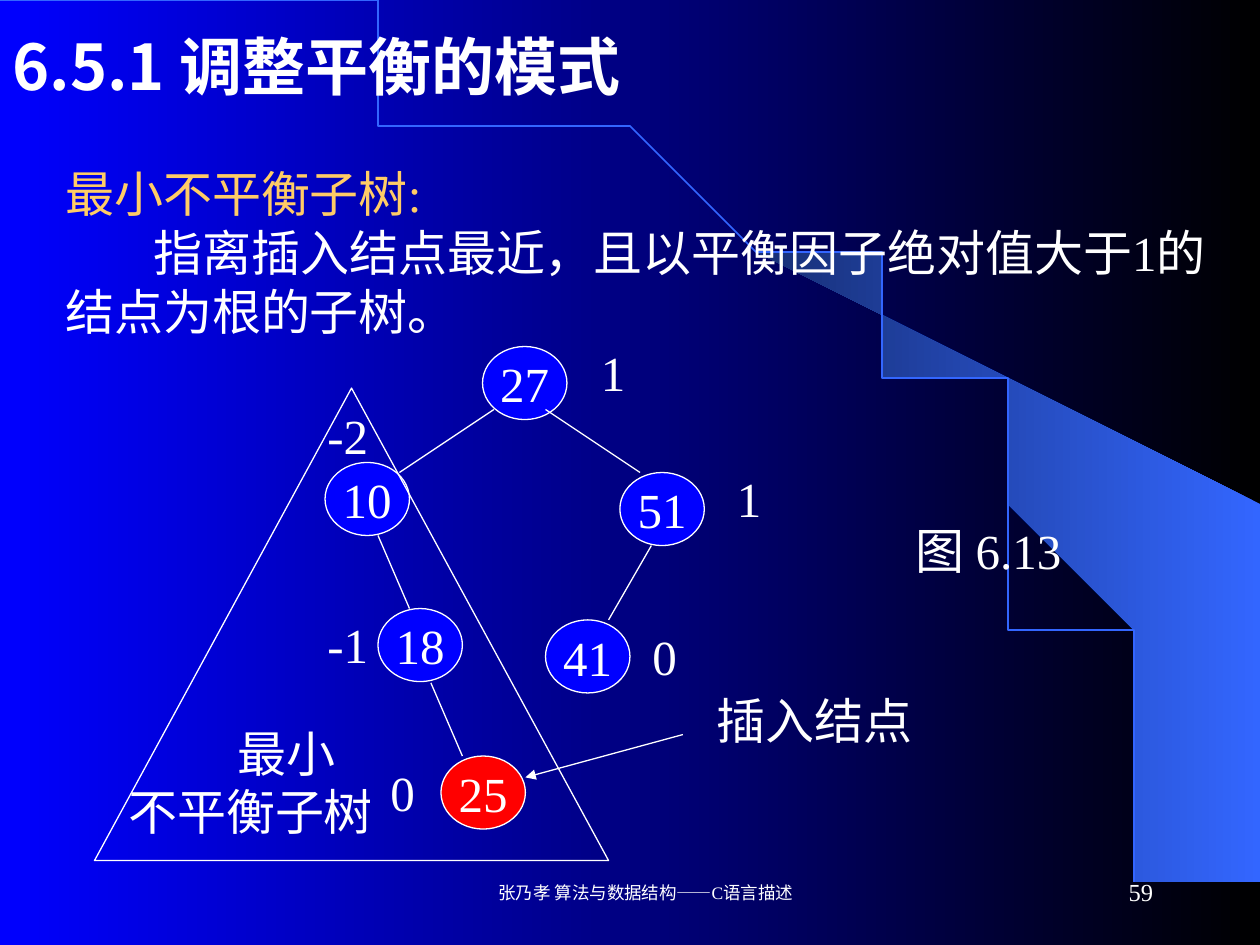
import math

from lxml import etree
from pptx import Presentation
from pptx.dml.color import RGBColor
from pptx.enum.shapes import MSO_CONNECTOR, MSO_SHAPE
from pptx.enum.text import MSO_ANCHOR, MSO_AUTO_SIZE, PP_ALIGN
from pptx.oxml.ns import qn
from pptx.util import Inches, Pt

LEFT, CENTER, RIGHT = PP_ALIGN.LEFT, PP_ALIGN.CENTER, PP_ALIGN.RIGHT
TOP, MIDDLE = MSO_ANCHOR.TOP, MSO_ANCHOR.MIDDLE
OVAL, TRIANGLE = MSO_SHAPE.OVAL, MSO_SHAPE.ISOSCELES_TRIANGLE
STRAIGHT = MSO_CONNECTOR.STRAIGHT

THEME = {
    "white": "FFFFFF", "black": "000000", "blue": "0000FF", "red": "FF0000",
    "gold": "FFCC66", "arc": "3366FF", "arc_dark": "172F75",
    "body_font": "Times New Roman", "title_font": "Noto Sans CJK SC",
    "title": 36, "body": 28, "number": 14, "footer": 10, "line": 0.75,
}

# Content: paragraphs are (text, colour, first-line indent)
TITLE = "6.5.1 调整平衡的模式"
DEFINITION = [
    ("最小不平衡子树:", "gold", 0),
    ("指离插入结点最近，且以平衡因子绝对值大于1的结点为根的子树。", "white", 0.7),
]
SUBTREE_NAME = [("最小", "white", 0.87), ("不平衡子树", "white", 0)]
FOOTER = "张乃孝 算法与数据结构——C语言描述"
PAGE_NUMBER = "59"

# Tree: key, left, top, fill
NODE_SIZE = (0.67, 0.58)
NODES = [
    ("27", 3.83, 2.75, "blue"), ("10", 2.58, 3.67, "blue"),
    ("51", 4.92, 3.75, "blue"), ("18", 3, 4.83, "blue"),
    ("41", 4.33, 4.92, "blue"), ("25", 3.5, 6, "red"),
]
EDGES = [
    ((3.92, 3.25), (3.17, 3.75)), ((3, 4.25), (3.25, 4.83)),
    ((4.33, 3.25), (5.08, 3.75)), ((3.42, 5.42), (3.67, 6)),
    ((5.17, 4.33), (4.83, 4.92)),
]
INSERT_ARROW = ((5.42, 5.83), (4.17, 6.17))
LABEL_HEIGHT = 0.57
LABELS = [  # text, left, top, width
    ("0", 3, 6, 0.42), ("0", 5.08, 4.92, 0.42), ("1", 5.75, 3.67, 0.42),
    ("1", 4.67, 2.67, 0.42), ("-1", 2.5, 4.83, 0.58), ("-2", 2.5, 3.17, 0.58),
    ("图 6.13", 7.17, 4.08, 1.75),
]

# Backdrop
ARC_WIDTH, ARC_HEIGHT, ARC_STEPS = 9.2, 7.49, 90
WEDGE = [
    (9.2, 7.48), (9.99, 7.49), (9.99, 4.23), (5.89, 1.73), (6.24, 1.99),
    (6.53, 2.22), (6.85, 2.5), (7.16, 2.8), (7.62, 3.3), (8.03, 3.84),
    (8.32, 4.31), (8.58, 4.79), (8.78, 5.28), (8.93, 5.72), (9.03, 6.09),
    (9.13, 6.56), (9.17, 6.96),
]


def color(name):
    return RGBColor.from_string(THEME[name])


def set_gradient(fill, start, end):
    fill.gradient()
    fill.gradient_angle = 180
    for stop, name in zip(fill.gradient_stops, (start, end)):
        stop.color.rgb = color(name)


def set_line(line, name="white", width=THEME["line"]):
    line.color.rgb = color(name)
    line.width = Pt(width)


def set_text(shape, paragraphs, size="body", font="body_font", bold=False,
             align=LEFT, margin=0, **frame_format):
    frame = shape.text_frame
    settings = {"word_wrap": True, "auto_size": MSO_AUTO_SIZE.NONE,
                "vertical_anchor": TOP, **frame_format}
    for name, value in settings.items():
        setattr(frame, name, value)
    for index, (text, text_color, indent) in enumerate(paragraphs):
        para = frame.add_paragraph() if index else frame.paragraphs[0]
        para.alignment = align
        properties = para._p.get_or_add_pPr()
        properties.set("marL", str(Inches(margin)))
        properties.set("indent", str(Inches(indent)))
        span = para.add_run()
        span.text = text
        span.font.color.rgb = color(text_color)
        for name, value in {"name": THEME[font], "size": Pt(THEME[size]),
                            "bold": bold}.items():
            setattr(span.font, name, value)


def add_text(page, place, paragraphs, **options):
    box = page.shapes.add_textbox(*map(Inches, place))
    set_text(box, paragraphs, **options)


def add_outline(page, points, closed):
    builder = page.shapes.build_freeform(
        *points[0], scale=Inches(1))
    builder.add_line_segments(points[1:], close=closed)
    shape = builder.convert_to_shape()
    shape.shadow.inherit = False
    return shape


def add_shape(page, kind, *place):
    shape = page.shapes.add_shape(kind, *map(Inches, place))
    shape.shadow.inherit = False
    set_line(shape.line)
    return shape


def add_line(page, start, end, arrow=False):
    connector = page.shapes.add_connector(STRAIGHT, *map(Inches, start + end))
    set_line(connector.line)
    if arrow:
        outline = connector.line._get_or_add_ln()
        etree.SubElement(outline, qn("a:tailEnd"), type="triangle")
    etree.SubElement(connector._element.spPr, qn("a:effectLst"))


def add_backdrop(page):
    set_gradient(page.background.fill, "black", "blue")
    wedge = add_outline(page, WEDGE, True)
    set_gradient(wedge.fill, "arc", "arc_dark")
    wedge.line.fill.background()
    angles = [math.pi / 2 * step / ARC_STEPS for step in range(ARC_STEPS + 1)]
    arc = add_outline(page, [(ARC_WIDTH * math.sin(angle),
                              ARC_HEIGHT * (1 - math.cos(angle)))
                             for angle in angles], False)
    arc.fill.background()
    set_line(arc.line, "arc", 1)


def add_title(page):
    title = page.shapes.title
    for name, value in {"left": 0, "top": 0, "width": 10, "height": 1.03}.items():
        setattr(title, name, Inches(value))
    set_text(title, [(TITLE, "white", 0)], size="title", font="title_font",
             bold=True, margin_top=Inches(0.22), margin_bottom=Inches(0.21))
    page.shapes._spTree.append(title._element)  # in front of the arc


def add_tree(page):
    for key, left, top, fill in NODES:
        node = add_shape(page, OVAL, left, top, *NODE_SIZE)
        node.fill.solid()
        node.fill.fore_color.rgb = color(fill)
        set_text(node, [(key, "white", 0)], align=CENTER,
                 vertical_anchor=MIDDLE, word_wrap=False)
    for start, end in EDGES:
        add_line(page, start, end)
    for text, left, top, width in LABELS:
        add_text(page, (left, top, width, LABEL_HEIGHT), [(text, "white", 0)])
    # Smallest unbalanced subtree and the inserted node
    add_shape(page, TRIANGLE, 0.75, 3.08, 4.08, 3.75).fill.background()
    add_text(page, (0.92, 5.69, 2.17, 1.5), SUBTREE_NAME)
    add_line(page, *INSERT_ARROW, arrow=True)
    add_text(page, (5.59, 5.43, 1.75, LABEL_HEIGHT),
             [("插入结点", "white", 0)], word_wrap=False)


def main():
    deck = Presentation()
    deck.slide_width, deck.slide_height = Inches(10), Inches(7.5)
    page = deck.slides.add_slide(deck.slide_layouts[5])
    add_backdrop(page)
    add_text(page, (0.42, 1.25, 9.58, 1.5), DEFINITION)
    add_tree(page)
    add_title(page)
    # Footer line
    add_text(page, (3.42, 6.83, 3.17, 0.5), [(FOOTER, "white", 0)],
             size="footer", align=CENTER, margin=0.24, vertical_anchor=MIDDLE)
    add_text(page, (7.17, 6.83, 2.08, 0.5), [(PAGE_NUMBER, "white", 0)],
             size="number", align=RIGHT, margin=0.24, vertical_anchor=MIDDLE)
    deck.save("out.pptx")


if __name__ == "__main__":
    main()
